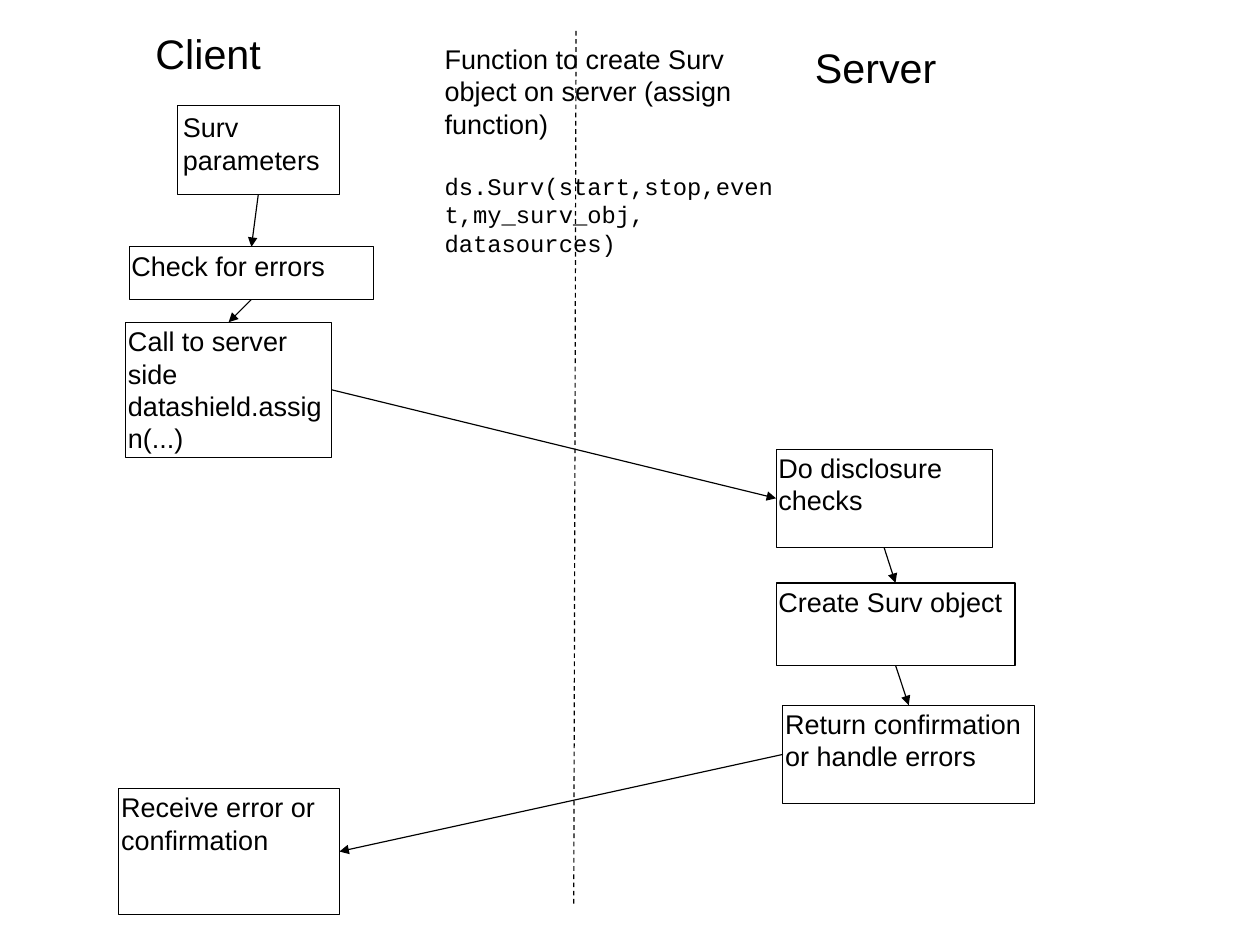
"""Build a client/server flow slide for creating a Surv object."""
import pptx
import pptx.dml.color
import pptx.enum.dml
import pptx.enum.shapes
import pptx.enum.text
import pptx.oxml.ns
import pptx.util
from lxml import etree
from pptx.util import Inches

BLACK = "000000"
CM_PER_INCH = 2.54
TOP, LEFT, BOTTOM, RIGHT = range(4)


def color(hex_value):
    """Return an RGB colour for a hex string."""
    return pptx.dml.color.RGBColor.from_string(hex_value)


def set_text(sp, lines, inset):
    """Fill a shape with (text, size, font) paragraphs, aligned top left."""
    tf = sp.text_frame
    tf.word_wrap = True
    tf.auto_size = pptx.enum.text.MSO_AUTO_SIZE.NONE
    tf.vertical_anchor = pptx.enum.text.MSO_ANCHOR.TOP
    tf.margin_left = tf.margin_right = Inches(inset)
    tf.margin_top = tf.margin_bottom = Inches(inset)
    for i, (text, size, font) in enumerate(lines):
        p = tf.paragraphs[0] if i == 0 else tf.add_paragraph()
        p.text = text
        p.alignment = pptx.enum.text.PP_ALIGN.LEFT
        p.font.size = pptx.util.Pt(size)
        p.font.name = font
        p.font.color.rgb = color(BLACK)


def add_label(slide, box, lines):
    """Add an unframed text box."""
    sp = slide.shapes.add_textbox(*map(Inches, box))
    set_text(sp, lines, 0.12)
    return sp


def add_step(slide, box, lines, inset=0.02):
    """Add an outlined box for one step of the flow."""
    sp = slide.shapes.add_shape(
        pptx.enum.shapes.MSO_SHAPE.RECTANGLE, *map(Inches, box))
    sp.shadow.inherit = False
    sp.fill.background()
    sp.line.color.rgb = color(BLACK)
    sp.line.width = pptx.util.Pt(0.75)
    set_text(sp, [(text, 17, "Arial") for text in lines], inset)
    return sp


def add_line(slide, x1, y1, x2, y2):
    """Add a thin straight connector without a shadow."""
    line = slide.shapes.add_connector(
        pptx.enum.shapes.MSO_CONNECTOR.STRAIGHT, *map(Inches, (x1, y1, x2, y2)))
    line.line.color.rgb = color(BLACK)
    line.line.width = pptx.util.Pt(0.75)
    etree.SubElement(line._element.spPr, pptx.oxml.ns.qn("a:effectLst"))
    return line


def add_arrow(slide, start, start_site, end, end_site):
    """Join two steps with an arrow glued to their connection sites."""
    arrow = add_line(slide, 0, 0, 1, 1)
    arrow.begin_connect(start, start_site)
    arrow.end_connect(end, end_site)
    etree.SubElement(arrow.get_or_add_ln(),
                     pptx.oxml.ns.qn("a:tailEnd"), type="triangle")


def main():
    """Build and save the slide."""
    prs = pptx.Presentation()
    prs.slide_width = Inches(28 / CM_PER_INCH)
    prs.slide_height = Inches(21 / CM_PER_INCH)
    slide = prs.slides.add_slide(prs.slide_layouts.get_by_name("Blank"))

    divider = add_line(slide, 5.04, 0.27, 5.02, 7.91)
    divider.line.dash_style = pptx.enum.dml.MSO_LINE.DASH

    add_label(slide, (1.24, 0.13, 1.73, 0.72), [("Client", 26, "Arial")])
    add_label(slide, (7.01, 0.25, 1.8, 0.6), [("Server", 26, "Arial")])
    summary = add_label(slide, (3.77, 0.25, 3.13, 1.91), [
        ("Function to create Surv object on server (assign function)",
         17, "Arial"),
        ("ds.Surv(start,stop,event,my_surv_obj, datasources)",
         15, "Courier New")])
    summary.text_frame.paragraphs[0].space_after = pptx.util.Pt(20)

    params = add_step(slide, (1.55, 0.92, 1.42, 0.78),
                      ["Surv parameters"], inset=0.05)
    check = add_step(slide, (1.13, 2.16, 2.14, 0.46), ["Check for errors"])
    call = add_step(slide, (1.1, 2.82, 1.8, 1.18),
                    ["Call to server side", "datashield.assign(...)"])
    disclosure = add_step(slide, (6.79, 3.93, 1.89, 0.86),
                          ["Do disclosure checks"])
    create = add_step(slide, (6.79, 5.1, 2.09, 0.72), ["Create Surv object"])
    confirm = add_step(slide, (6.85, 6.17, 2.2, 0.86),
                       ["Return confirmation or handle errors"])
    receive = add_step(slide, (1.04, 6.9, 1.93, 1.1),
                       ["Receive error or confirmation"])

    for start, start_site, end, end_site in [
            (params, BOTTOM, check, TOP),
            (check, BOTTOM, call, TOP),
            (call, RIGHT, disclosure, LEFT),
            (disclosure, BOTTOM, create, TOP),
            (create, BOTTOM, confirm, TOP),
            (confirm, LEFT, receive, RIGHT)]:
        add_arrow(slide, start, start_site, end, end_site)

    prs.save("out.pptx")


if __name__ == "__main__":
    main()
